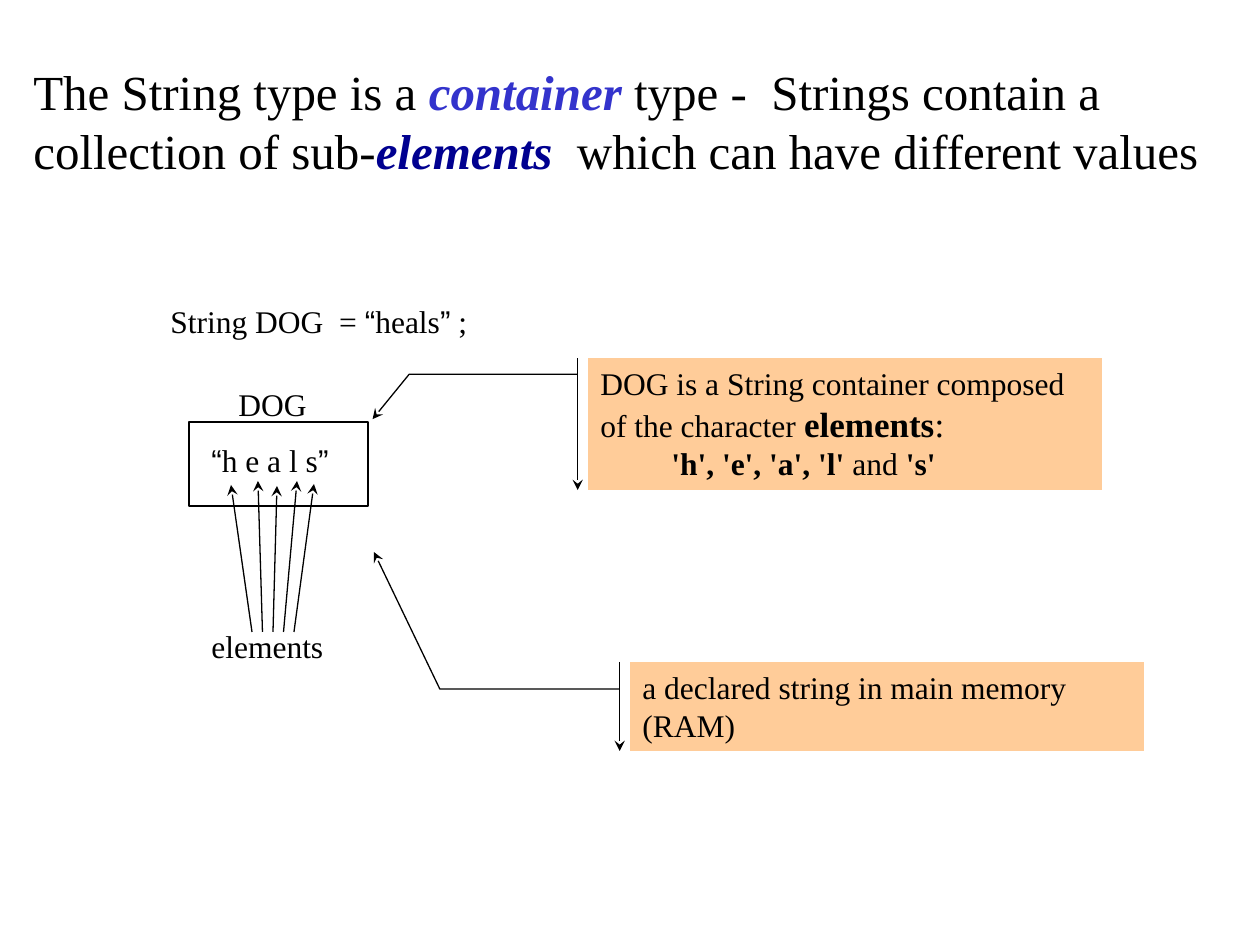
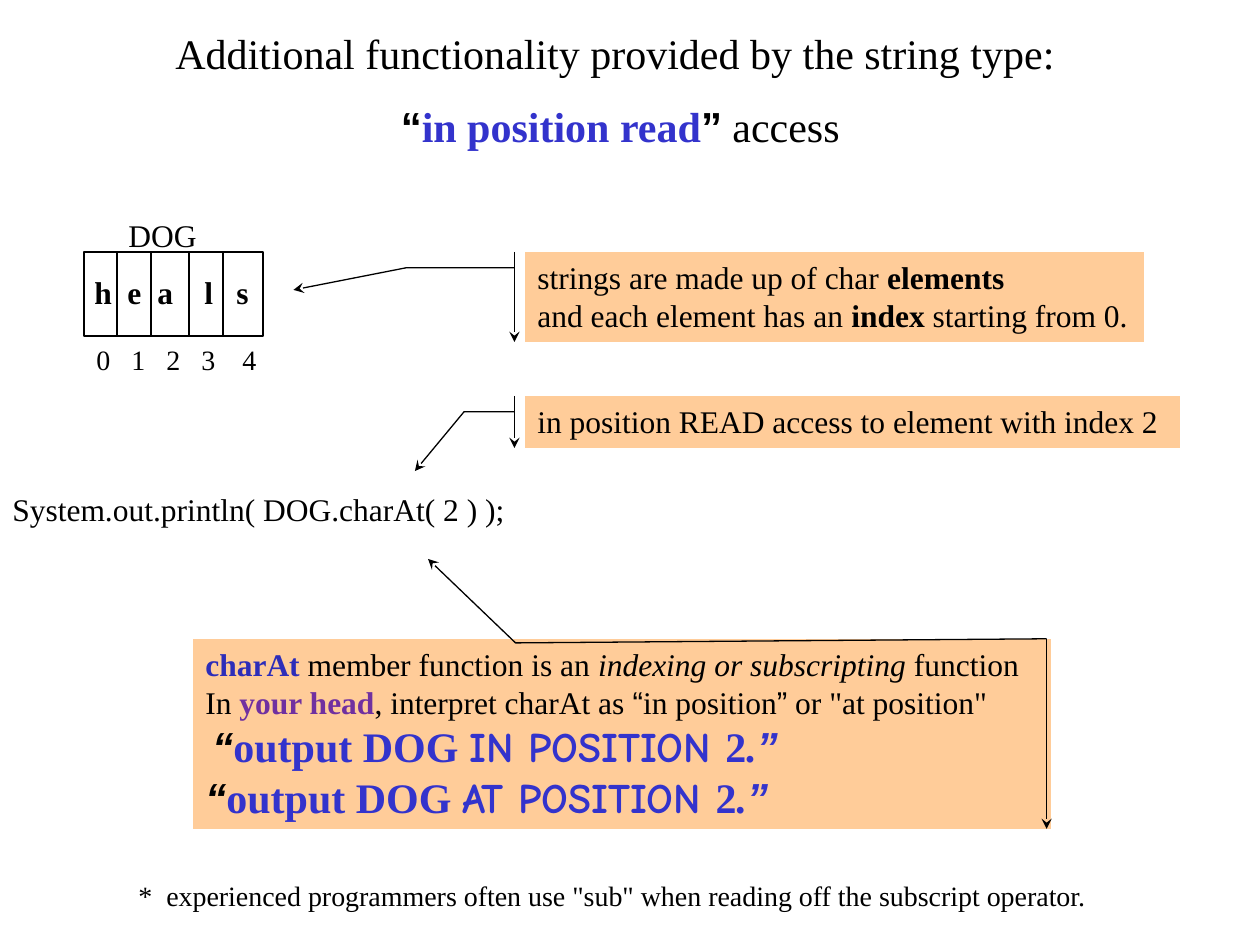
"""Two lecture slides on strings as containers of characters."""
from dataclasses import dataclass
from itertools import groupby

from lxml import etree
from pptx import Presentation
from pptx import util as u
from pptx.dml.color import RGBColor
from pptx.enum import shapes, text
from pptx.oxml.ns import qn

SCALE = 914400 / 126  # EMU in one pixel
WIDTH, HEIGHT = 1260, 945

BLACK = RGBColor(0x00, 0x00, 0x00)
PEACH = RGBColor(0xFF, 0xCC, 0x99)
BLUE = RGBColor(0x33, 0x33, 0xCC)
NAVY = RGBColor(0x00, 0x00, 0x90)
ROYAL = RGBColor(0x2D, 0x2D, 0xB9)
PURPLE = RGBColor(0x70, 0x30, 0xA0)

SERIF, QUOTE_FONT, COMIC = "Times New Roman", "Arial", "Comic Neue"
QUOTES = "“”"


def px(*lengths):
    """Turn pixels into a list of EMU lengths."""
    return [u.Emu(round(length * SCALE)) for length in lengths]


@dataclass
class Line:
    """One paragraph: its (text, format) pieces and its layout."""
    pieces: list
    indent: int = 0
    tabs: tuple = ()
    align: int = text.PP_ALIGN.LEFT
    before: int = 0


def styled(words, **look):
    """Pair a piece of text with its format."""
    return words, look


def write(paragraph, words, size=18, bold=False, italic=False,
          color=BLACK, font=SERIF):
    """Add text to a paragraph; curly quotes get their own font."""
    for is_quote, characters in groupby(words, lambda c: c in QUOTES):
        run = paragraph.add_run()
        run.text = "".join(characters)
        run.font.name = QUOTE_FONT if is_quote else font
        run.font.size = u.Pt(size)
        run.font.bold = bold
        run.font.italic = italic
        run.font.color.rgb = color


class Deck:
    """Holds the shared style and the current slide."""

    def __init__(self):
        """Start an empty presentation."""
        self.presentation = Presentation()
        (self.presentation.slide_width,
         self.presentation.slide_height) = px(WIDTH, HEIGHT)
        self.slide = None

    def new_slide(self):
        """Add a blank slide and make it current."""
        layout = self.presentation.slide_layouts[6]
        self.slide = self.presentation.slides.add_slide(layout)

    def fill_text(self, shape, lines):
        """Write the lines into a shape that grows with its text."""
        frame = shape.text_frame
        frame.word_wrap = True
        frame.auto_size = text.MSO_AUTO_SIZE.SHAPE_TO_FIT_TEXT
        frame.vertical_anchor = text.MSO_ANCHOR.TOP
        for index, line in enumerate(lines):
            paragraph = frame.add_paragraph() if index else frame.paragraphs[0]
            paragraph.alignment = line.align
            paragraph.space_before = u.Pt(line.before)
            properties = paragraph._p.get_or_add_pPr()
            if line.indent:
                properties.set("marL", str(px(line.indent)[0]))
                properties.set("indent", "0")
            if line.tabs:
                stops = etree.SubElement(properties, qn("a:tabLst"))
                for stop in px(*line.tabs):
                    etree.SubElement(stops, qn("a:tab"), pos=str(stop), algn="l")
            for words, look in line.pieces:
                write(paragraph, words, **look)

    def text(self, box, *lines):
        """Add a text box."""
        self.fill_text(self.slide.shapes.add_textbox(*px(*box)), lines)

    def label(self, box, words, indent=0, tabs=(), **look):
        """Add a text box with one line in one format."""
        self.text(box, Line([styled(words, **look)], indent, tabs))

    def outline(self, shape, arrow=False):
        """Give a shape or connector the thin black line."""
        shape.line.color.rgb = BLACK
        shape.line.width = u.Pt(0.75)
        if arrow:
            line = shape._element.spPr.find(qn("a:ln"))
            etree.SubElement(line, qn("a:tailEnd"), type="stealth")

    def frame(self, box):
        """Add an unfilled rectangle."""
        shape = self.slide.shapes.add_shape(
            shapes.MSO_SHAPE.RECTANGLE, *px(*box))
        shape.shadow.inherit = False
        shape.fill.background()
        self.outline(shape)

    def callout(self, box, pointer, *lines):
        """Add a peach callout; pointer lists its y, x fractions."""
        shape = self.slide.shapes.add_shape(
            shapes.MSO_SHAPE.LINE_CALLOUT_2_ACCENT_BAR, *px(*box))
        for index, fraction in enumerate(pointer):
            shape.adjustments[index] = fraction
        shape.shadow.inherit = False
        shape.fill.solid()
        shape.fill.fore_color.rgb = PEACH
        self.outline(shape, arrow=True)
        self.fill_text(shape, lines)

    def line(self, start, end, arrow=False):
        """Add a straight line, with an arrowhead at its end if asked."""
        connector = self.slide.shapes.add_connector(
            shapes.MSO_CONNECTOR.STRAIGHT, *px(*start, *end))
        self.outline(connector, arrow)
        etree.SubElement(connector._element.spPr, qn("a:effectLst"))


def container_slide(deck):
    """A string is a container of elements."""
    deck.new_slide()
    deck.text((21, 55, 1229, 131), Line([
        styled("The String type is a ", size=28),
        styled("container ", size=28, bold=True, italic=True, color=BLUE),
        styled("type -  Strings contain a collection of sub-", size=28),
        styled("elements  ", size=28, bold=True, italic=True, color=NAVY),
        styled("which can have different values", size=28)]))
    deck.label((158, 296, 473, 50), "String DOG  = “heals” ;")
    deck.callout(
        (588, 358, 514, 132), (0.124, -0.02, 0.124, -0.348, 0.463, -0.419),
        Line([styled("DOG is a String container composed of the character "),
              styled("elements", size=20, bold=True),
              styled(":", size=20)]),
        Line([styled("'h', 'e', 'a', 'l'", bold=True), styled(" and "),
              styled("'s'", bold=True)], indent=71))
    deck.frame((189, 422, 179, 84))
    deck.label((199, 435, 199, 50), "“h e a l s”")
    deck.label((194, 379, 179, 50), "DOG", indent=32)
    deck.label((199, 621, 221, 50), "elements")
    tips = [(231, 485), (258, 481), (277, 486), (297, 481), (314, 484)]
    for index, tip in enumerate(tips):
        deck.line((252 + 10.5 * index, 632), tip, arrow=True)
    deck.callout(
        (630, 662, 514, 89), (0.304, -0.02, 0.304, -0.37, -1.235, -0.498),
        Line([styled("a declared string in main memory (RAM)")]))


def reading(place, indent=0):
    """One way to read charAt( 2 ) aloud."""
    strong = {"size": 24, "bold": True}
    return Line([
        styled("“", italic=True, **strong),
        styled("output DOG ", color=BLUE, **strong),
        styled(place + " POSITION ", color=BLUE, font=COMIC, **strong),
        styled("2", color=BLUE, **strong),
        styled(".”", color=BLUE, italic=True, **strong)], indent)


def access_slide(deck):
    """Reading one element by its index."""
    deck.new_slide()
    center = text.PP_ALIGN.CENTER
    deck.text(
        (32, 21, 1166, 140),
        Line([styled("Additional functionality provided by the string type:",
                     size=24)], align=center),
        Line([styled(" “", size=24, bold=True),
              styled("in position read", size=24, bold=True, color=BLUE),
              styled("”", size=24, bold=True),
              styled(" access", size=24)], align=center, before=13))
    deck.frame((84, 252, 179, 84))
    deck.label((82, 267, 221, 50), "h\te\ta\tl\ts",
               tabs=(33, 63, 110, 142), bold=True)
    deck.label((84, 210, 179, 50), "DOG", indent=32)
    deck.callout(
        (525, 252, 619, 90), (0.176, -0.017, 0.176, -0.192, 0.422, -0.374),
        Line([styled("strings are made up of char "),
              styled("elements", bold=True)]),
        Line([styled("and each element has an "), styled("index", bold=True),
              styled(" starting from 0.")]))
    deck.label((77, 336, 221, 47), "\t0\t1\t2\t3\t4",
               tabs=(7, 42, 77, 112, 153), size=16)
    deck.label((0, 484, 577, 50), "System.out.println( DOG.charAt( 2 ) );")
    deck.callout(
        (525, 396, 655, 52), (0.304, -0.016, 0.304, -0.093, 1.444, -0.168),
        Line([styled("in position READ access to element with index 2")]))
    deck.callout(
        (193, 639, 858, 190), (-0.001, 0.995, 0.021, 0.376, -0.421, 0.274),
        Line([styled("charAt", bold=True, color=ROYAL),
              styled(" member function is an"),
              styled(" indexing or subscripting ", italic=True),
              styled("function")]),
        Line([styled("In "), styled("your head", bold=True, color=PURPLE),
              styled(", interpret charAt as “in position” "
                     "or \"at position\"")]),
        reading("IN", indent=7),
        reading("AT"))
    for x in (117, 151, 189, 223):
        deck.line((x, 252), (x, 336))
    deck.label((126, 872, 1071, 47),
               "*  experienced programmers often use \"sub\" when reading off "
               "the subscript operator.", size=16)


def main():
    """Build both slides and save them."""
    deck = Deck()
    container_slide(deck)
    access_slide(deck)
    deck.presentation.save("out.pptx")


main()
